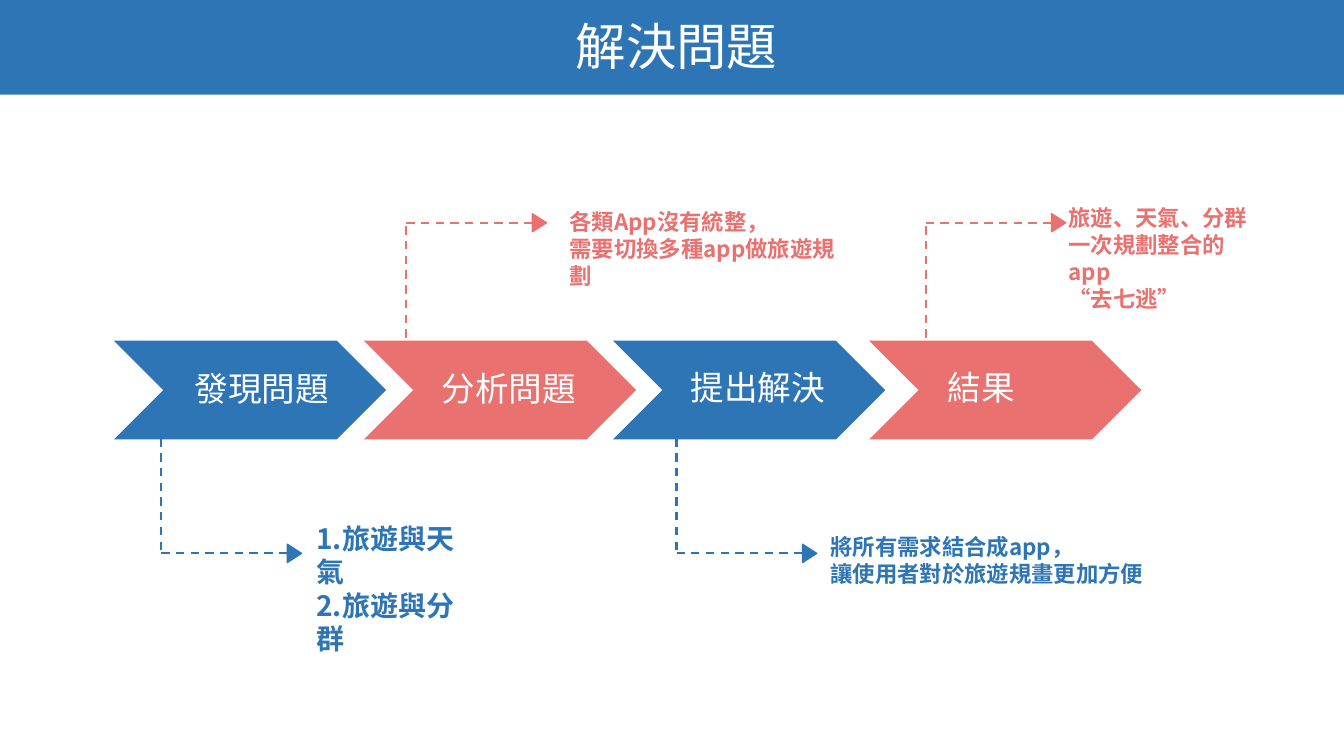
from lxml import etree
from pptx import Presentation
from pptx import util as u
from pptx.dml.color import RGBColor
from pptx.enum import dml, shapes, text
from pptx.oxml import ns

COLORS = {"blue": "2E75B6", "coral": "E9716F", "white": "FFFFFF"}
CHEVRON_TOP, CHEVRON_WIDTH, CHEVRON_HEIGHT = 3.38, 2.7, 0.98

# label, colour, chevron left, label box, leader (x, start y, end y)
STEPS = [
    ("發現問題", "blue", 1.13, (1.83, 3.6, 1.55, 0.5), (1.6, 4.35, 5.49)),
    ("分析問題", "coral", 3.61, (4.28, 3.6, 1.55, 0.5), (4.03, 3.35, 2.21)),
    ("提出解決", "blue", 6.08, (6.75, 3.59, 1.55, 0.5), (6.71, 4.35, 5.49)),
    ("結果", "coral", 8.62, (9.3, 3.59, 1.62, 0.5), (9.18, 3.35, 2.21)),
]
# lines, colour, size, box
NOTES = [
    (["1.旅遊與天氣", "2.旅遊與分群"], "blue", 20, (3.04, 5.12, 1.82, 1.04)),
    (["各類App沒有統整，", "需要切換多種app做旅遊規劃"], "coral", 16,
     (5.55, 2.02, 3.03, 0.64)),
    (["將所有需求結合成app，", "讓使用者對於旅遊規畫更加方便"], "blue", 16,
     (8.14, 5.24, 3.34, 0.91)),
    (["旅遊、天氣、分群", "一次規劃整合的app", "“去七逃”"], "coral", 16,
     (10.5, 1.98, 2.14, 0.91)),
]


class SlideBuilder:
    font_name = "Noto Sans CJK SC"

    def __init__(self, slide):
        self.slide = slide

    def color(self, name):
        return RGBColor.from_string(COLORS[name])

    def shape(self, kind, box, color, outlined=False):
        shape = self.slide.shapes.add_shape(kind, *map(u.Inches, box))
        shape.shadow.inherit = False
        shape.fill.solid()
        shape.fill.fore_color.rgb = self.color(color)
        if outlined:
            shape.line.color.rgb = self.color(color)
            shape.line.width = u.Pt(1)
        else:
            shape.line.fill.background()
        return shape

    def set_text(self, frame, lines, size, color, bold=False,
                 align=text.PP_ALIGN.LEFT):
        frame.word_wrap = True
        frame.vertical_anchor = text.MSO_ANCHOR.TOP
        frame.text = "\n".join(lines)
        for paragraph in frame.paragraphs:
            paragraph.alignment = align
            paragraph.line_spacing = u.Pt(size * 1.2)
            font = paragraph.font
            font.size, font.bold, font.name = u.Pt(size), bold, self.font_name
            font.color.rgb = self.color(color)
            defaults = paragraph._p.pPr.find(ns.qn("a:defRPr"))
            etree.SubElement(defaults, ns.qn("a:ea"), typeface=self.font_name)

    def title(self, wording, box):
        title = self.slide.shapes.title
        title.left, title.top, title.width, title.height = map(u.Inches, box)
        self.set_text(title.text_frame, [wording], 36, "white",
                      align=text.PP_ALIGN.CENTER)
        title.text_frame.auto_size = text.MSO_AUTO_SIZE.NONE
        self.slide.shapes._spTree.append(title._element)  # in front of the banner

    def textbox(self, lines, box, size, color, bold=False):
        textbox = self.slide.shapes.add_textbox(*map(u.Inches, box))
        self.set_text(textbox.text_frame, lines, size, color, bold)

    def dashed_line(self, start, end, color):
        line = self.slide.shapes.add_connector(
            shapes.MSO_CONNECTOR.STRAIGHT, *map(u.Inches, start + end))
        line.line.color.rgb = self.color(color)
        line.line.width = u.Pt(1.5)
        line.line.dash_style = dml.MSO_LINE.DASH
        etree.SubElement(line._element.spPr, ns.qn("a:effectLst"))

    def leader(self, x, start_y, end_y, color):
        """Draw a dashed elbow from a chevron, ending in a triangle to the right."""
        self.dashed_line((x, start_y), (x, end_y), color)
        self.dashed_line((x + 1.25, end_y), (x, end_y), color)
        tip = self.shape(shapes.MSO_SHAPE.ISOSCELES_TRIANGLE,
                         (x + 1.23, end_y - 0.07, 0.18, 0.14), color, True)
        tip.rotation = 90


def main():
    deck = Presentation()
    deck.slide_width, deck.slide_height = u.Inches(13.33), u.Inches(7.5)
    builder = SlideBuilder(deck.slides.add_slide(deck.slide_layouts[5]))

    builder.shape(shapes.MSO_SHAPE.RECTANGLE, (0, 0, 13.33, 0.94), "blue")
    builder.title("解決問題", (5.6, 0.1, 2.22, 0.71))
    for label, color, left, label_box, leader in STEPS:
        builder.shape(shapes.MSO_SHAPE.CHEVRON,
                      (left, CHEVRON_TOP, CHEVRON_WIDTH, CHEVRON_HEIGHT), color)
        builder.textbox([label], label_box, 24, "white")
        builder.leader(*leader, color)
    for lines, color, size, box in NOTES:
        builder.textbox(lines, box, size, color, bold=True)

    deck.save("out.pptx")


if __name__ == "__main__":
    main()
